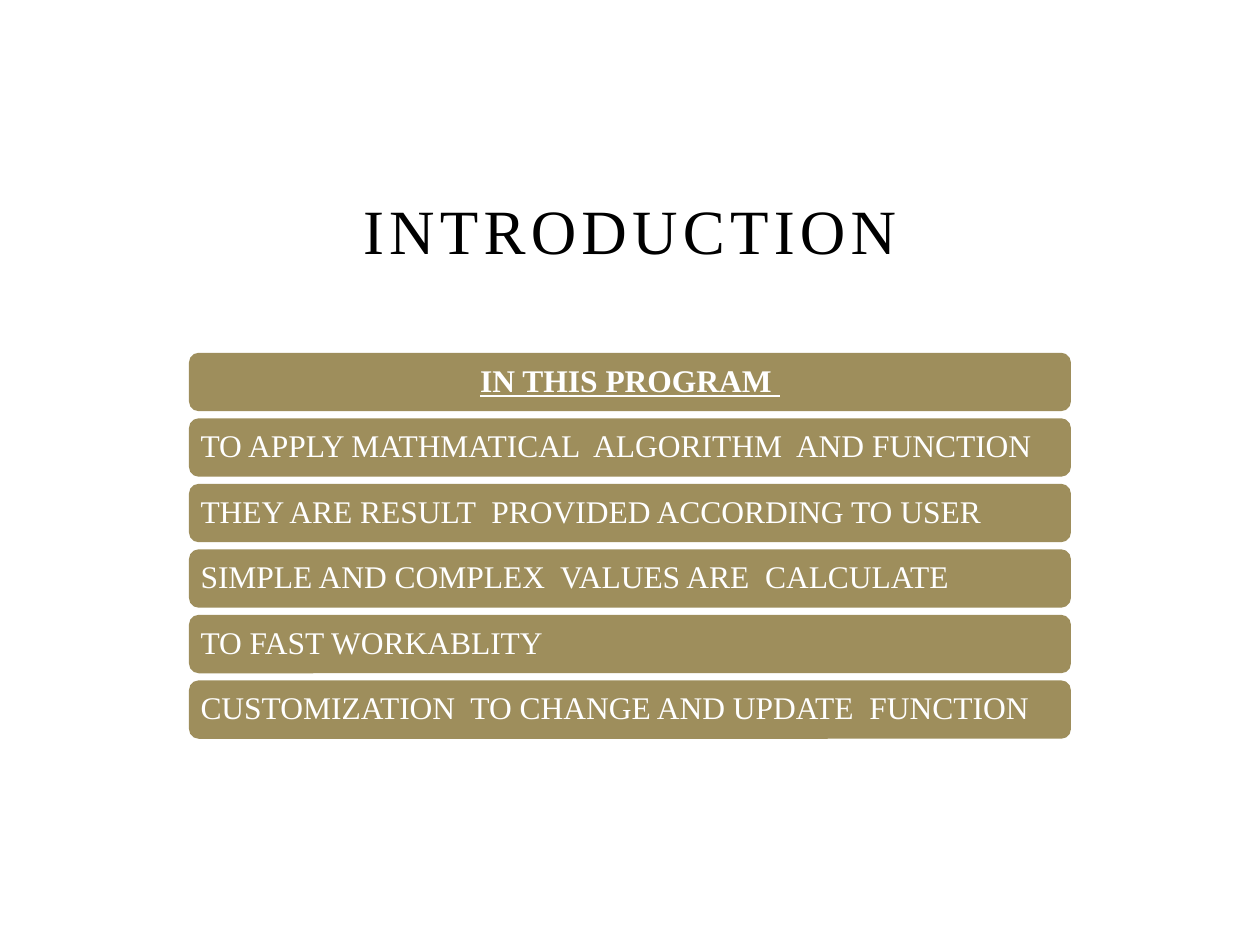
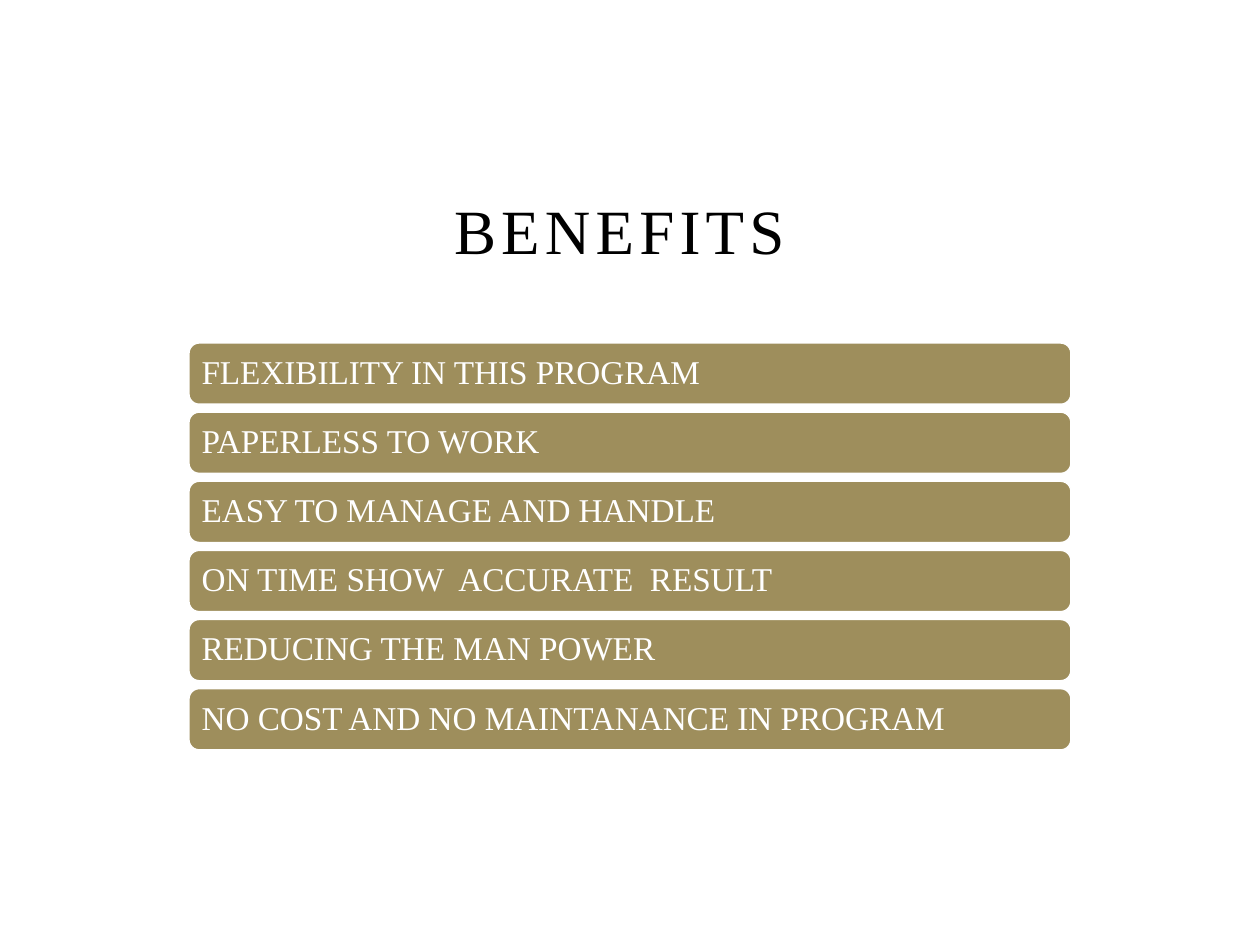
"""Build two slides, each with a spaced title above a stack of rounded bars."""
from dataclasses import dataclass

import pptx
import pptx.dml.color
import pptx.enum.shapes
import pptx.enum.text
import pptx.presentation
import pptx.slide
import pptx.text.text
import pptx.util

Pt = pptx.util.Pt
RGBColor = pptx.dml.color.RGBColor
ALIGN = pptx.enum.text.PP_ALIGN
ANCHOR = pptx.enum.text.MSO_ANCHOR

BLACK = RGBColor(0x00, 0x00, 0x00)
WHITE = RGBColor(0xFF, 0xFF, 0xFF)
KHAKI = RGBColor(0x9E, 0x8E, 0x5C)
FONT = "Times New Roman"
LEFT, WIDTH = 108, 504
TITLE_TOP, TITLE_HEIGHT = 102.3, 54
TITLE_SPACING = "300"


@dataclass(frozen=True)
class BarStyle:
    top: float
    height: float
    pitch: float
    inset: float
    font_size: float
    outline: float = 0


@dataclass(frozen=True)
class Topic:
    title: str
    style: BarStyle
    points: tuple[str, ...]
    heading: str = ""


TOPICS = (
    Topic(
        "INTRODUCTION",
        BarStyle(top=201.6, height=33.4, pitch=37.44, inset=5, font_size=18),
        (
            "TO APPLY MATHMATICAL  ALGORITHM  AND FUNCTION",
            "THEY ARE RESULT  PROVIDED ACCORDING TO USER",
            "SIMPLE AND COMPLEX  VALUES ARE  CALCULATE",
            "TO FAST WORKABLITY",
            "CUSTOMIZATION  TO CHANGE AND UPDATE  FUNCTION",
        ),
        heading="IN THIS PROGRAM ",
    ),
    Topic(
        "BENEFITS ",
        BarStyle(top=196, height=35, pitch=39.5, inset=5.5, font_size=19, outline=0.85),
        (
            "FLEXIBILITY IN THIS PROGRAM",
            "PAPERLESS TO WORK",
            "EASY TO MANAGE AND HANDLE",
            "ON TIME SHOW  ACCURATE  RESULT",
            "REDUCING THE MAN POWER",
            "NO COST AND NO MAINTANANCE IN PROGRAM",
        ),
    ),
)


def write(frame: pptx.text.text.TextFrame, text: str, size: float,
          color: RGBColor, align: ALIGN) -> pptx.text.text._Paragraph:
    """Fill the frame with one styled paragraph and return it."""
    frame.word_wrap = True
    paragraph = frame.paragraphs[0]
    paragraph.text = text
    paragraph.alignment = align
    paragraph.font.name = FONT
    paragraph.font.size = Pt(size)
    paragraph.font.color.rgb = color
    return paragraph


def add_title(slide: pptx.slide.Slide, title: str) -> None:
    """Add the centred, letter-spaced title."""
    box = slide.shapes.add_textbox(Pt(LEFT), Pt(TITLE_TOP), Pt(WIDTH), Pt(TITLE_HEIGHT))
    box.text_frame.vertical_anchor = ANCHOR.BOTTOM
    paragraph = write(box.text_frame, title, 36, BLACK, ALIGN.CENTER)
    paragraph.runs[0].font._element.set("spc", TITLE_SPACING)


def add_bar(slide: pptx.slide.Slide, style: BarStyle, row: int, text: str,
            is_heading: bool) -> None:
    """Add the rounded bar of one row with its text."""
    bar = slide.shapes.add_shape(
        pptx.enum.shapes.MSO_SHAPE.ROUNDED_RECTANGLE,
        Pt(LEFT), Pt(style.top + row * style.pitch), Pt(WIDTH), Pt(style.height))
    bar.shadow.inherit = False
    bar.fill.solid()
    bar.fill.fore_color.rgb = KHAKI
    if style.outline:
        bar.line.color.rgb = WHITE
        bar.line.width = Pt(style.outline)
    else:
        bar.line.fill.background()
    frame = bar.text_frame
    frame.margin_left = frame.margin_right = Pt(style.inset)
    frame.margin_top = frame.margin_bottom = Pt(style.inset)
    frame.vertical_anchor = ANCHOR.MIDDLE
    align = ALIGN.CENTER if is_heading else ALIGN.LEFT
    paragraph = write(frame, text, style.font_size, WHITE, align)
    paragraph.line_spacing = 0.9
    if is_heading:
        paragraph.font.bold = True
        paragraph.font.underline = True


def add_topic(deck: pptx.presentation.Presentation, topic: Topic) -> None:
    """Add the slide of one topic."""
    slide = deck.slides.add_slide(deck.slide_layouts[6])
    add_title(slide, topic.title)
    rows = (topic.heading, *topic.points) if topic.heading else topic.points
    for row, text in enumerate(rows):
        add_bar(slide, topic.style, row, text, text == topic.heading)


def main() -> None:
    """Build and save the deck."""
    deck = pptx.Presentation()
    deck.slide_width, deck.slide_height = Pt(720), Pt(540)
    for topic in TOPICS:
        add_topic(deck, topic)
    deck.save("out.pptx")


if __name__ == "__main__":
    main()
